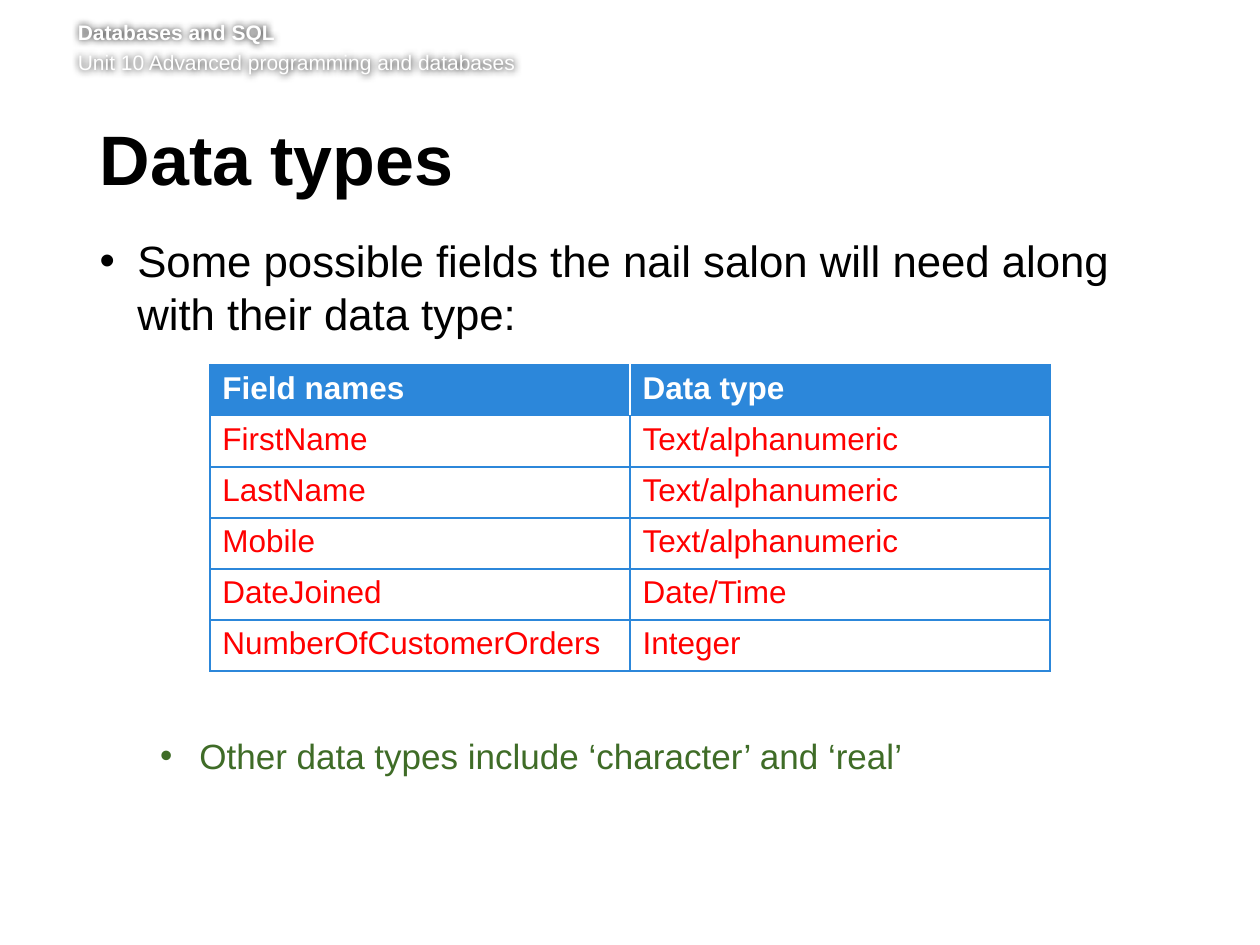
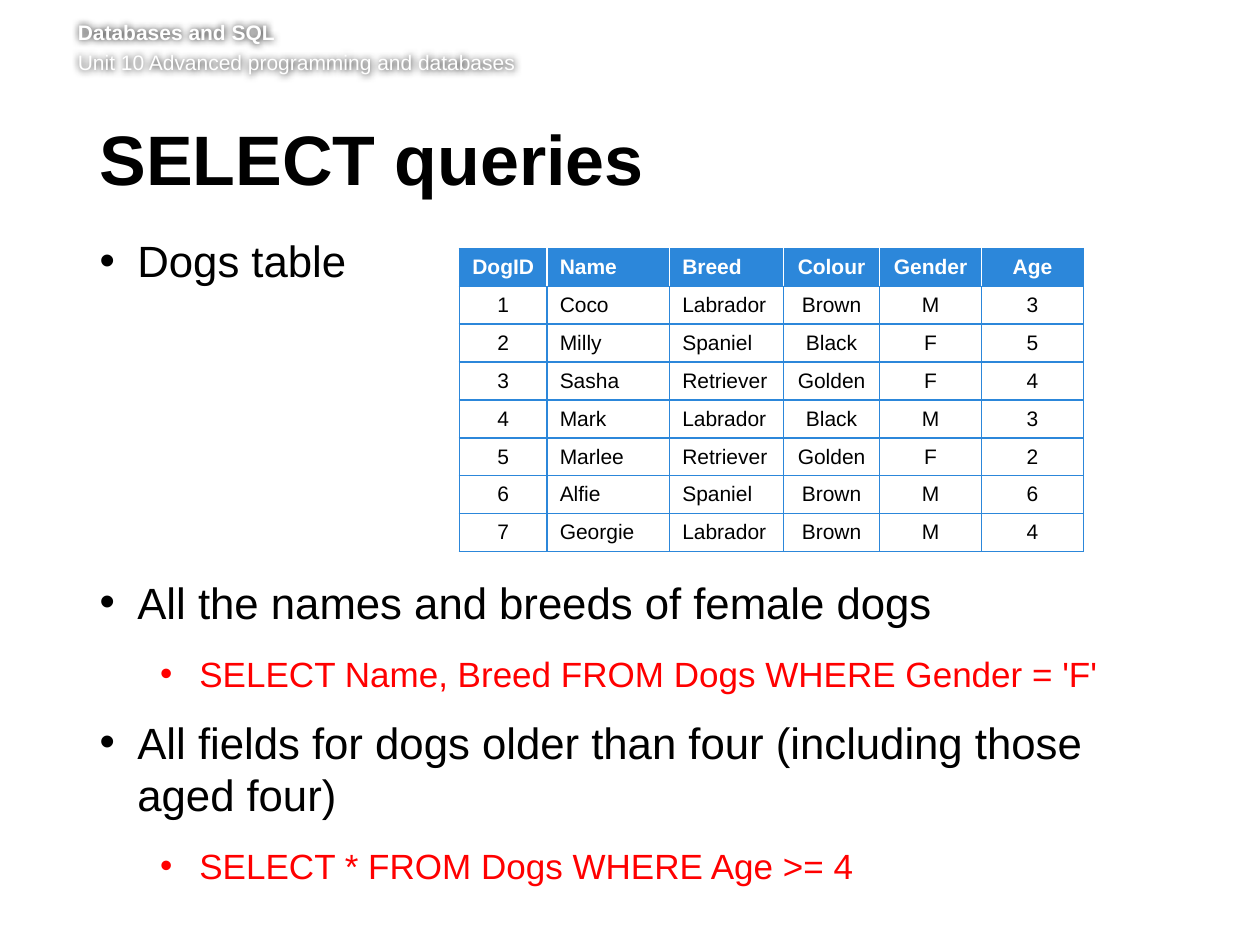
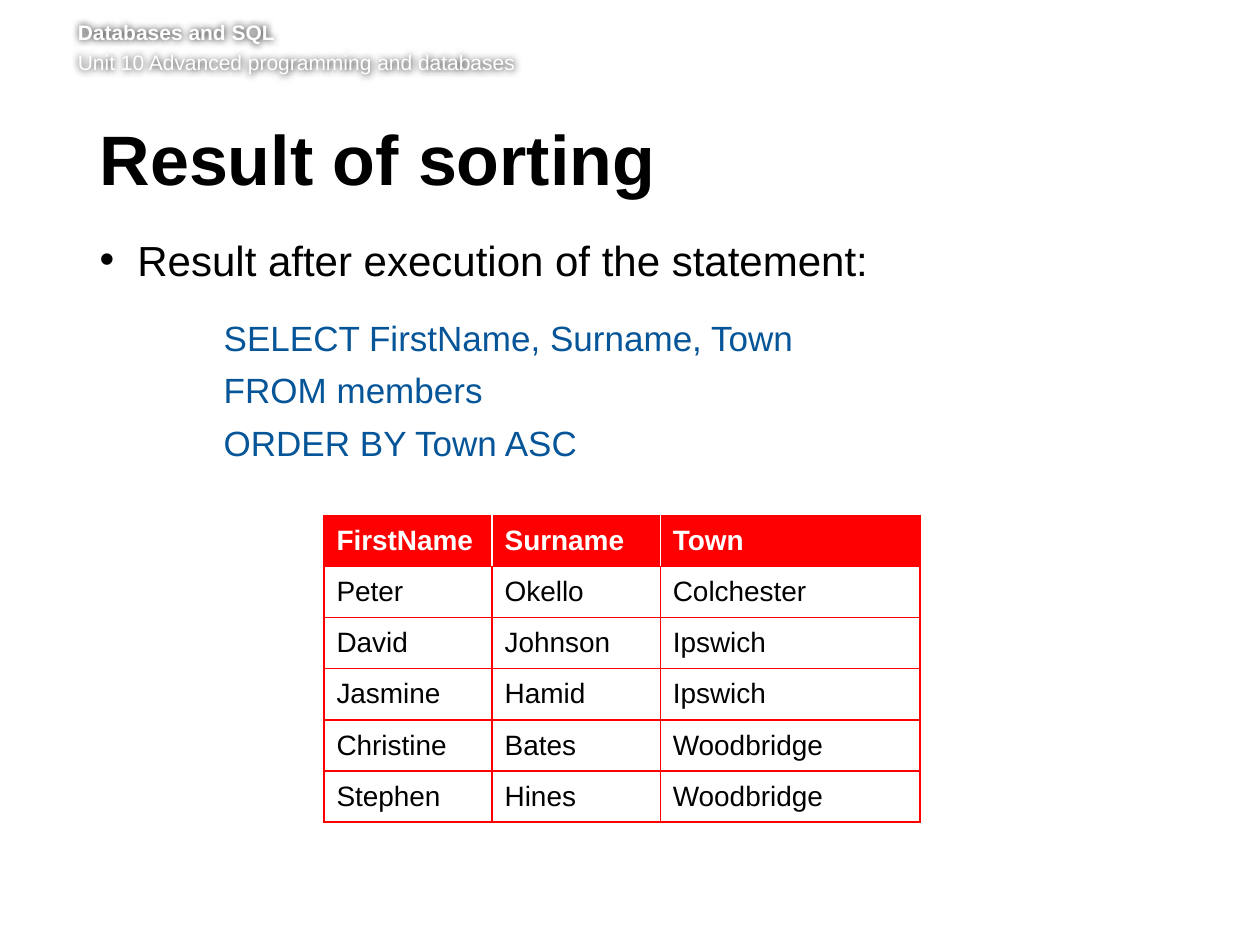
from dataclasses import dataclass

from lxml.etree import SubElement
from pptx import Presentation
from pptx.dml.color import RGBColor
from pptx.enum.text import MSO_ANCHOR, PP_ALIGN
from pptx.oxml.ns import qn
from pptx.slide import Slide
from pptx.table import _Cell
from pptx.text.text import TextFrame, _Paragraph
from pptx.util import Cm, Length, Pt

FONT = "Arial"
BLACK = RGBColor(0x00, 0x00, 0x00)
WHITE = RGBColor(0xFF, 0xFF, 0xFF)
BLUE = RGBColor(0x2C, 0x87, 0xDA)
RED = RGBColor(0xFF, 0x00, 0x00)
GREEN = RGBColor(0x3F, 0x6C, 0x27)
SQL_BLUE = RGBColor(0x06, 0x55, 0x98)

UNIT_LINES = ("Databases and SQL", "Unit 10 Advanced programming and databases")


@dataclass(frozen=True)
class Box:
    left: Length
    top: Length
    width: Length
    height: Length


@dataclass(frozen=True)
class BodyLine:
    text: str
    size: float = 25
    color: RGBColor = BLACK
    margin: Length = Cm(0.76)
    hanging: Length = Cm(0.76)
    before: float = 0
    after: float = 14
    bullet: bool = True


@dataclass(frozen=True)
class Grid:
    left: Length
    top: Length
    columns: tuple[Length, ...]
    row_height: Length
    rows: tuple[tuple[str, ...], ...]
    size: float
    accent: RGBColor = BLUE
    text_color: RGBColor = BLACK
    anchor: MSO_ANCHOR = MSO_ANCHOR.MIDDLE
    centred: tuple[int, ...] = ()


@dataclass(frozen=True)
class Lesson:
    title: str
    lines: tuple[BodyLine, ...]
    grid: Grid


UNIT_BOX = Box(Cm(1.57), Cm(0.39), Cm(22.4), Cm(1.24))
TITLE_BOX = Box(Cm(2.01), Cm(2.51), Cm(21.72), Cm(1.85))
BODY_BOX = Box(Cm(2.01), Cm(4.72), Cm(21.67), Cm(9.6))


def sub_point(text: str, color: RGBColor, before: float = 0) -> BodyLine:
    return BodyLine(text, 20, color, Cm(2.01), Cm(0.79), before, 12)


def sql_line(text: str, before: float = 6) -> BodyLine:
    return BodyLine(text, 20, SQL_BLUE, Cm(2.5), Cm(0), before, 0, bullet=False)


LESSONS = (
    Lesson(
        "Data types",
        (
            BodyLine("Some possible fields the nail salon will need along with their data type:"),
            sub_point("Other data types include ‘character’ and ‘real’", GREEN, before=212),
        ),
        Grid(
            Cm(4.23), Cm(7.35), (Cm(8.47),) * 2, Cm(1.03),
            (
                ("Field names", "Data type"),
                ("FirstName", "Text/alphanumeric"),
                ("LastName", "Text/alphanumeric"),
                ("Mobile", "Text/alphanumeric"),
                ("DateJoined", "Date/Time"),
                ("NumberOfCustomerOrders", "Integer"),
            ),
            18, text_color=RED, anchor=MSO_ANCHOR.TOP,
        ),
    ),
    Lesson(
        "SELECT queries",
        (
            BodyLine("Dogs table"),
            BodyLine("All the names and breeds of female dogs", before=151),
            sub_point("SELECT Name, Breed FROM Dogs WHERE Gender = 'F'", RED),
            BodyLine("All fields for dogs older than four (including those aged four)"),
            sub_point("SELECT * FROM Dogs WHERE Age >= 4", RED),
        ),
        Grid(
            Cm(9.26), Cm(5.01),
            (Cm(1.77), Cm(2.47), Cm(2.3), Cm(1.93), Cm(2.06), Cm(2.05)), Cm(0.73),
            (
                ("DogID", "Name", "Breed", "Colour", "Gender", "Age"),
                ("1", "Coco", "Labrador", "Brown", "M", "3"),
                ("2", "Milly", "Spaniel", "Black", "F", "5"),
                ("3", "Sasha", "Retriever", "Golden", "F", "4"),
                ("4", "Mark", "Labrador", "Black", "M", "3"),
                ("5", "Marlee", "Retriever", "Golden", "F", "2"),
                ("6", "Alfie", "Spaniel", "Brown", "M", "6"),
                ("7", "Georgie", "Labrador", "Brown", "M", "4"),
            ),
            12, centred=(0, 3, 4, 5),
        ),
    ),
    Lesson(
        "Result of sorting",
        (
            BodyLine("Result after execution of the statement:", 24, after=6),
            sql_line("SELECT FirstName, Surname, Town", before=12),
            sql_line("FROM members"),
            sql_line("ORDER BY Town ASC"),
        ),
        Grid(
            Cm(6.53), Cm(10.39), (Cm(3.39), Cm(3.39), Cm(5.24)), Cm(1.03),
            (
                ("FirstName", "Surname", "Town"),
                ("Peter", "Okello", "Colchester"),
                ("David", "Johnson", "Ipswich"),
                ("Jasmine", "Hamid", "Ipswich"),
                ("Christine", "Bates", "Woodbridge"),
                ("Stephen", "Hines", "Woodbridge"),
            ),
            16, accent=RED,
        ),
    ),
)


def write(paragraph: _Paragraph, text: str, size: float, color: RGBColor, bold: bool = False) -> None:
    paragraph.text = text
    for run in paragraph.runs:
        run.font.name = FONT
        run.font.size = Pt(size)
        run.font.bold = bold
        run.font.color.rgb = color


def add_text(slide: Slide, box: Box, top_inset: Length, right_inset: Length) -> TextFrame:
    frame = slide.shapes.add_textbox(box.left, box.top, box.width, box.height).text_frame
    frame.word_wrap = True
    frame.margin_left = 0
    frame.margin_top = top_inset
    frame.margin_right = right_inset
    frame.margin_bottom = Cm(0.13)
    return frame


def add_paragraph(frame: TextFrame, index: int) -> _Paragraph:
    return frame.add_paragraph() if index else frame.paragraphs[0]


def add_unit_heading(slide: Slide) -> None:
    frame = add_text(slide, UNIT_BOX, Cm(0), Cm(0))
    for index, text in enumerate(UNIT_LINES):
        paragraph = add_paragraph(frame, index)
        write(paragraph, text, 12, WHITE, bold=index == 0)
        if index:
            paragraph.space_before = Pt(2.9)
    # Soft shadow that makes the white heading readable
    heading = slide.shapes[-1]
    effects = SubElement(heading._element.spPr, qn("a:effectLst"))
    shadow = SubElement(effects, qn("a:outerShdw"), blurRad=str(Pt(4)), dist="0", dir="0")
    black = SubElement(shadow, qn("a:srgbClr"), val=str(BLACK))
    SubElement(black, qn("a:alpha"), val="90000")


def add_title(slide: Slide, title: str) -> None:
    paragraph = add_text(slide, TITLE_BOX, Cm(0.13), Cm(0.25)).paragraphs[0]
    write(paragraph, title, 40, BLACK, bold=True)
    paragraph.line_spacing = Pt(39)
    paragraph.space_after = Pt(15)


def add_body(slide: Slide, lines: tuple[BodyLine, ...]) -> None:
    frame = add_text(slide, BODY_BOX, Cm(0), Cm(0.25))
    for index, line in enumerate(lines):
        paragraph = add_paragraph(frame, index)
        write(paragraph, line.text, line.size, line.color)
        paragraph.space_after = Pt(line.after)
        if index:
            paragraph.space_before = Pt(line.before)
        properties = paragraph._p.get_or_add_pPr()
        properties.set("marL", str(line.margin))
        properties.set("indent", str(-line.hanging))
        if line.bullet:
            SubElement(properties, qn("a:buFont"), typeface=FONT)
            SubElement(properties, qn("a:buChar"), char="•")


def set_borders(cell: _Cell, left: RGBColor, right: RGBColor, across: RGBColor) -> None:
    properties = cell._tc.get_or_add_tcPr()
    sides = (("lnL", left), ("lnR", right), ("lnT", across), ("lnB", across))
    for position, (side, color) in enumerate(sides):
        border = properties.makeelement(qn(f"a:{side}"), {"w": str(Pt(1))})
        fill = SubElement(border, qn("a:solidFill"))
        SubElement(fill, qn("a:srgbClr"), val=str(color))
        properties.insert(position, border)


def add_grid(slide: Slide, grid: Grid) -> None:
    last = len(grid.columns) - 1
    table = slide.shapes.add_table(
        len(grid.rows), len(grid.columns), grid.left, grid.top,
        sum(grid.columns), grid.row_height * len(grid.rows),
    ).table
    table.horz_banding = False
    for column, width in zip(table.columns, grid.columns):
        column.width = width
    for r, values in enumerate(grid.rows):
        table.rows[r].height = grid.row_height
        is_header = r == 0
        divider = WHITE if is_header else grid.accent
        for c, value in enumerate(values):
            cell = table.cell(r, c)
            cell.vertical_anchor = grid.anchor
            cell.fill.solid()
            cell.fill.fore_color.rgb = grid.accent if is_header else WHITE
            paragraph = cell.text_frame.paragraphs[0]
            write(paragraph, value, grid.size, WHITE if is_header else grid.text_color, is_header)
            paragraph.alignment = PP_ALIGN.CENTER if c in grid.centred else PP_ALIGN.LEFT
            set_borders(
                cell,
                left=divider if c else grid.accent,
                right=divider if c < last else grid.accent,
                across=grid.accent,
            )


def main() -> None:
    deck = Presentation()
    deck.slide_width = Cm(25.4)
    deck.slide_height = Cm(19.05)
    for lesson in LESSONS:
        slide = deck.slides.add_slide(deck.slide_layouts[6])
        add_unit_heading(slide)
        add_title(slide, lesson.title)
        add_body(slide, lesson.lines)
        add_grid(slide, lesson.grid)
    deck.save("out.pptx")


if __name__ == "__main__":
    main()
